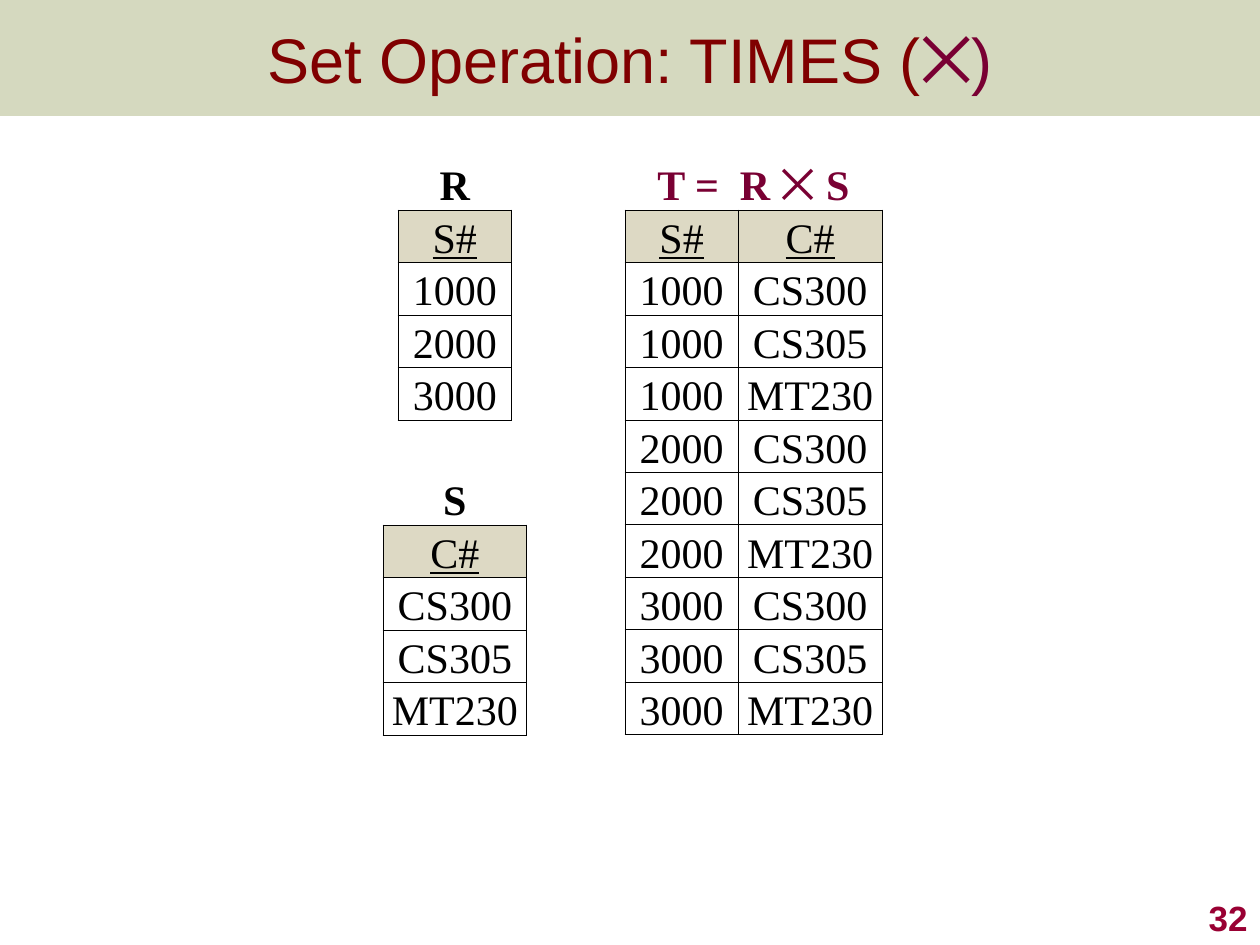
"""Build a slide showing the Cartesian product of two relations."""
import itertools

import lxml.etree
import pptx
import pptx.dml.color
import pptx.enum.shapes
import pptx.enum.text
import pptx.oxml
import pptx.oxml.ns
import pptx.util

Inches = pptx.util.Inches
ALIGN = pptx.enum.text.PP_ALIGN
ANCHOR = pptx.enum.text.MSO_ANCHOR
qn = pptx.oxml.ns.qn

COLORS = {
    "band": "76822E",
    "title": "800000",
    "product": "790033",
    "number": "990033",
    "text": "000000",
    "header": "DDD9C4",
    "cell": "FFFFFF",
}
SANS, SERIF = "Arial", "Times New Roman"
ROW_HEIGHT = 5 / 12
STUDENT_WIDTH, COURSE_WIDTH = 0.9, 1.14

STUDENTS = ["1000", "2000", "3000"]
COURSES = ["CS300", "CS305", "MT230"]

TITLE = [
    ("Set Operation: TIMES (", {"font": SANS, "size": 36, "color": "title"}),
    ("⨉)", {"font": SANS, "size": 36, "color": "product"}),
]
PAGE_NUMBER = [("32", {"font": SANS, "size": 20, "color": "number", "bold": True})]
PRODUCT_NAME = [
    ("T =  R ", {"color": "product", "bold": True}),
    ("⨉ ", {"font": SANS, "color": "product"}),
    ("S", {"color": "product", "bold": True}),
]

RELATIONS = [
    {"at": (3.16, 1.25), "widths": [STUDENT_WIDTH], "name": [("R", {"bold": True})],
     "header": ["S#"], "rows": [[student] for student in STUDENTS]},
    {"at": (3.04, 3.75), "widths": [COURSE_WIDTH], "name": [("S", {"bold": True})],
     "header": ["C#"], "rows": [[course] for course in COURSES]},
    {"at": (4.96, 1.25), "widths": [STUDENT_WIDTH, COURSE_WIDTH], "name": PRODUCT_NAME,
     "header": ["S#", "C#"], "rows": list(itertools.product(STUDENTS, COURSES))},
]


def rgb(name):
    return pptx.dml.color.RGBColor.from_string(COLORS[name])


def write(frame, runs, align):
    paragraph = frame.paragraphs[0]
    paragraph.alignment = align
    for text, style in runs:
        run = paragraph.add_run()
        run.text = text
        run.font.name = style.get("font", SERIF)
        run.font.size = pptx.util.Pt(style.get("size", 24))
        run.font.bold = style.get("bold", False)
        run.font.underline = style.get("underline", False)
        run.font.color.rgb = rgb(style.get("color", "text"))


def add_label(slide, box, runs, align, anchor):
    frame = slide.shapes.add_textbox(*map(Inches, box)).text_frame
    frame.word_wrap = True
    frame.vertical_anchor = anchor
    write(frame, runs, align)


def add_band(slide):
    band = slide.shapes.add_shape(
        pptx.enum.shapes.MSO_SHAPE.RECTANGLE, 0, 0, Inches(10), Inches(0.92))
    band.shadow.inherit = False
    band.line.fill.background()
    band.fill.solid()
    band.fill.fore_color.rgb = rgb("band")
    tint = next(band.element.spPr.iter(qn("a:srgbClr")))
    lxml.etree.SubElement(tint, qn("a:alpha"), val="30000")


def set_borders(cell, drawn):
    properties = cell._tc.get_or_add_tcPr()
    for side in "LRTB":
        line = lxml.etree.SubElement(properties, qn(f"a:ln{side}"), w=str(pptx.util.Pt(0.5)))
        if side in drawn:
            fill = lxml.etree.SubElement(line, qn("a:solidFill"))
            lxml.etree.SubElement(fill, qn("a:srgbClr"), val=COLORS["text"])
        else:
            lxml.etree.SubElement(line, qn("a:noFill"))


def fill_cell(cell, runs, color, borders):
    cell.margin_left = cell.margin_right = cell.margin_top = Inches(0.01)
    cell.margin_bottom = 0
    cell.vertical_anchor = ANCHOR.BOTTOM
    set_borders(cell, borders)
    cell.fill.solid()
    cell.fill.fore_color.rgb = rgb(color)
    write(cell.text_frame, runs, ALIGN.CENTER)


def add_relation(slide, relation):
    widths = relation["widths"]
    body = [relation["header"], *relation["rows"]]
    row_count = len(body) + 1
    table = slide.shapes.add_table(
        row_count, len(widths), *map(Inches, relation["at"]),
        Inches(sum(widths)), Inches(ROW_HEIGHT * row_count)).table
    table.first_row = table.horz_banding = False
    for column, width in zip(table.columns, widths):
        column.width = Inches(width)
    for row in table.rows:
        row.height = Inches(ROW_HEIGHT)

    for c in range(len(widths)):
        fill_cell(table.cell(0, c), relation["name"] if c == 0 else [], "cell", "B")
    if len(widths) > 1:
        table.cell(0, 0).merge(table.cell(0, len(widths) - 1))
    for r, values in enumerate(body, start=1):
        is_header = r == 1
        for c, value in enumerate(values):
            fill_cell(table.cell(r, c), [(value, {"underline": is_header})],
                      "header" if is_header else "cell", "LRTB")


def main():
    deck = pptx.Presentation()
    deck.slide_width, deck.slide_height = Inches(10), Inches(7.5)
    slide = deck.slides.add_slide(deck.slide_layouts[6])
    add_band(slide)
    add_label(slide, (7.92, 7, 2.08, 0.5), PAGE_NUMBER, ALIGN.RIGHT, ANCHOR.BOTTOM)
    add_label(slide, (0, 0, 10, 0.92), TITLE, ALIGN.CENTER, ANCHOR.MIDDLE)
    for relation in RELATIONS:
        add_relation(slide, relation)
    deck.save("out.pptx")


if __name__ == "__main__":
    main()
